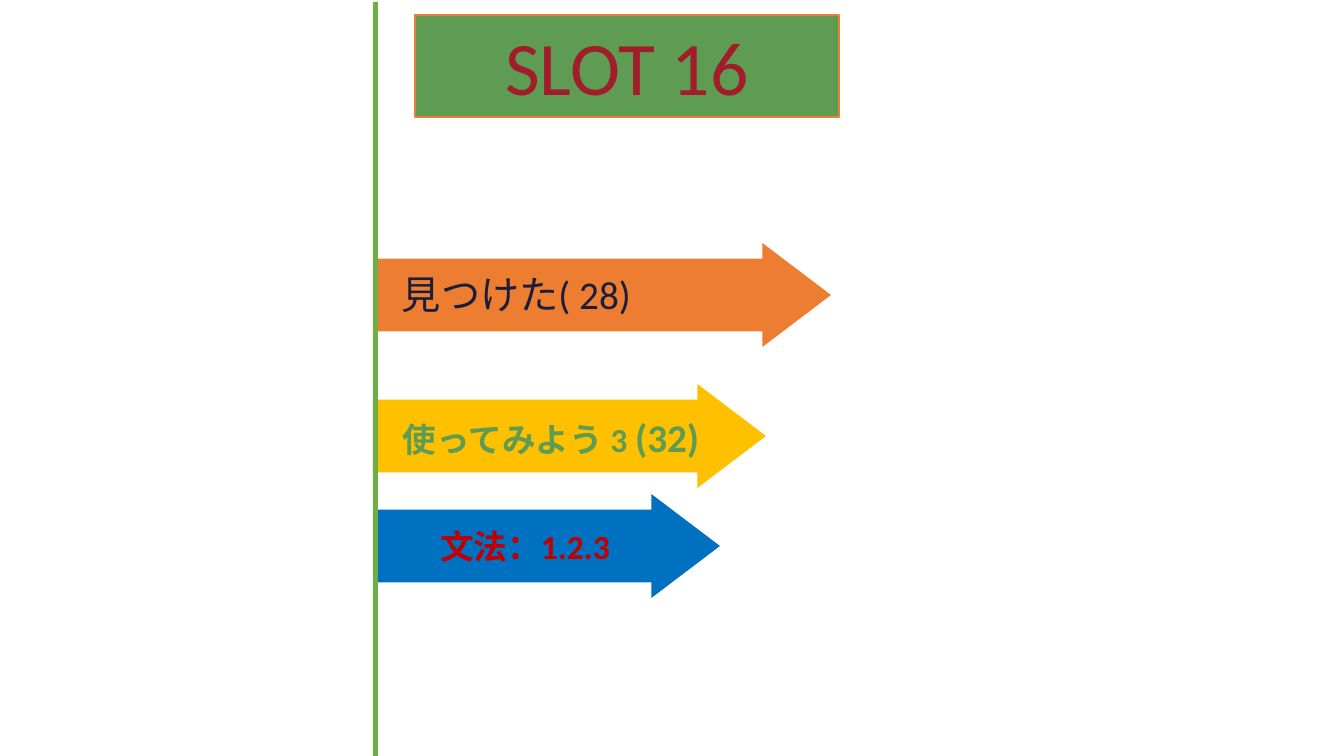
import pptx
import pptx.dml.color
import pptx.enum.shapes
import pptx.enum.text
import pptx.util

SLIDE_SIZE = (1344, 756)
FONT = "Calibri"
TITLE = {"text": "SLOT 16", "box": (415, 15, 424, 102), "size": 54,
         "color": "A11D2B", "fill": "5E9C53", "line": "ED7D31"}
BAR = {"box": (373, 2, 5, 754), "fill": "70AD47"}
ARROW_HEIGHT = 104
ARROW_ADJUSTMENTS = (0.7, 0.66)
ARROWS = [
    {"left": 376, "top": 243, "width": 455, "fill": "ED7D31",
     "label_box": (392, 265, 423, 57), "runs": [("見つけた( 28)", 28)],
     "color": "1A1E3B", "bold": False},
    {"left": 373, "top": 384, "width": 393, "fill": "FFC000",
     "label_box": (393, 408, 455, 57), "runs": [("使ってみよう 3 ", 24), ("(32)", 28)],
     "color": "5E9C53", "bold": True},
    {"left": 378, "top": 494, "width": 342, "fill": "0070C0",
     "label_box": None, "runs": [("文法：1.2.3", 24)],
     "color": "C00000", "bold": True},
]


def px(value):
    return pptx.util.Emu(round(value * 12192000 / 1344))


def rgb(color):
    return pptx.dml.color.RGBColor.from_string(color)


def paint(shape, color):
    shape.fill.solid()
    shape.fill.fore_color.rgb = rgb(color)


def add_filled(slide, kind, box, color):
    shape = slide.shapes.add_shape(kind, *map(px, box))
    shape.shadow.inherit = False
    paint(shape, color)
    shape.line.fill.background()
    return shape


def write(shape, runs, color, bold, alignment):
    frame = shape.text_frame
    frame.word_wrap = True
    paragraph = frame.paragraphs[0]
    paragraph.alignment = alignment
    paragraph.font.name = FONT
    paragraph.font.bold = bold
    paragraph.font.color.rgb = rgb(color)
    paragraph.font.size = pptx.util.Pt(runs[0][1])
    for text, size in runs:
        run = paragraph.add_run()
        run.text = text
        if size != runs[0][1]:
            run.font.size = pptx.util.Pt(size)


def main():
    shape_kinds = pptx.enum.shapes.MSO_SHAPE
    alignments = pptx.enum.text.PP_ALIGN
    presentation = pptx.Presentation()
    presentation.slide_width, presentation.slide_height = map(px, SLIDE_SIZE)
    slide = presentation.slides.add_slide(presentation.slide_layouts[5])

    title = slide.shapes.title
    title.left, title.top, title.width, title.height = map(px, TITLE["box"])
    paint(title, TITLE["fill"])
    title.line.color.rgb = rgb(TITLE["line"])
    title.line.width = pptx.util.Pt(1)
    title.text_frame.vertical_anchor = pptx.enum.text.MSO_ANCHOR.TOP
    title.text_frame.auto_size = pptx.enum.text.MSO_AUTO_SIZE.NONE
    write(title, [(TITLE["text"], TITLE["size"])], TITLE["color"], False, alignments.CENTER)

    for item in ARROWS:
        box = (item["left"], item["top"], item["width"], ARROW_HEIGHT)
        arrow = add_filled(slide, shape_kinds.RIGHT_ARROW, box, item["fill"])
        for index, value in enumerate(ARROW_ADJUSTMENTS):
            arrow.adjustments[index] = value
        if item["label_box"]:
            label = slide.shapes.add_textbox(*map(px, item["label_box"]))
            alignment = alignments.LEFT
        else:
            label = arrow
            alignment = alignments.CENTER
        write(label, item["runs"], item["color"], item["bold"], alignment)

    add_filled(slide, shape_kinds.RECTANGLE, BAR["box"], BAR["fill"])
    presentation.save("out.pptx")


if __name__ == "__main__":
    main()
